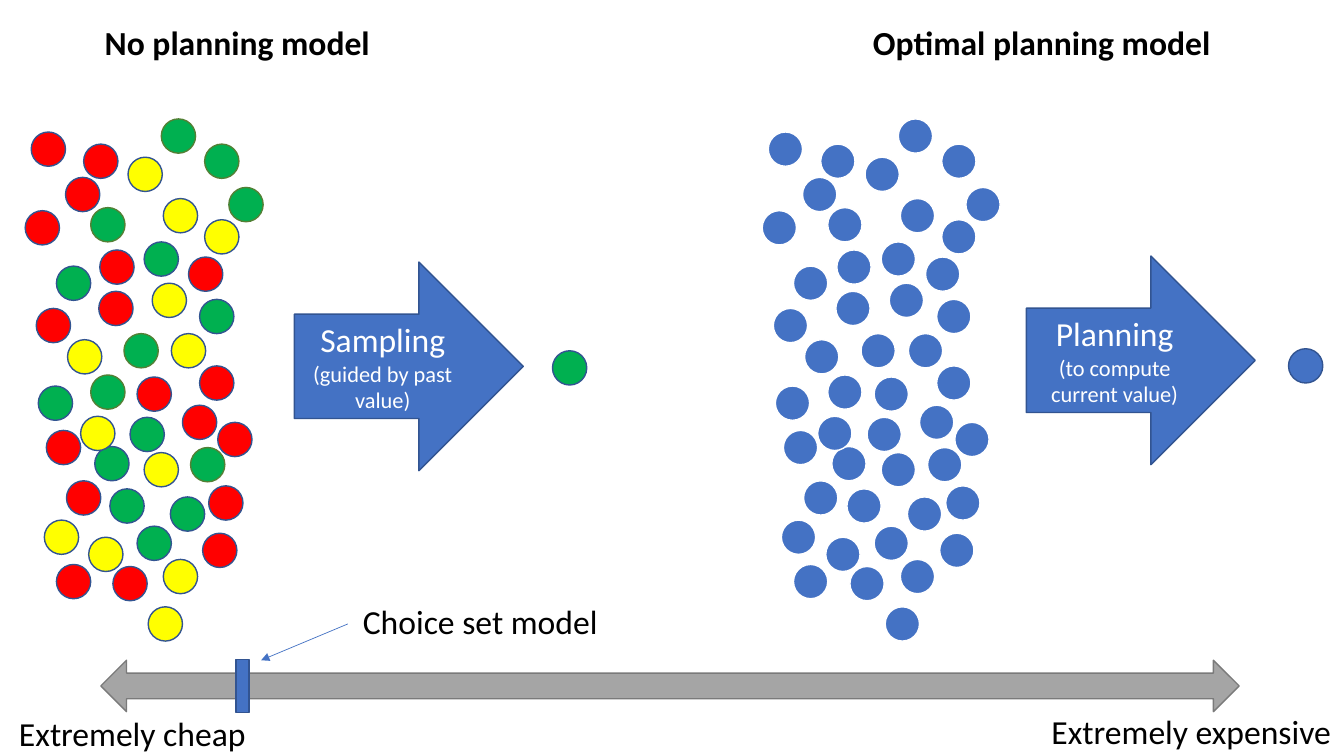
"""Build a slide comparing no planning, choice set and optimal planning models."""
from lxml.etree import SubElement
from pptx import Presentation
from pptx.dml.color import RGBColor
from pptx.enum.shapes import MSO_CONNECTOR, MSO_SHAPE as SHAPE
from pptx.enum.text import MSO_ANCHOR, PP_ALIGN
from pptx.oxml.ns import qn
from pptx.util import Inches, Pt

BLUE, NAVY, WHITE, BLACK = "4472C4", "325491", "FFFFFF", "000000"
RED, GREEN, YELLOW, DARK_GREEN = "FF0000", "00B050", "FFFF00", "538035"
GRAY, DARK_GRAY = "A5A5A5", "7A7A7A"
DOT_SIZE = 0.34
CLOUD_OFFSET = 7.31

DOT_GROUPS = [
    (RED, NAVY, [
        (0.31, 1.31), (0.83, 1.43), (0.65, 1.76), (0.25, 2.09), (0.99, 2.48),
        (1.87, 2.55), (0.98, 2.89), (0.36, 3.06), (1.98, 3.63), (1.36, 3.74),
        (1.81, 4.02), (2.16, 4.19), (0.46, 4.27), (0.66, 4.77), (2.07, 4.82),
        (2.01, 5.29), (0.56, 5.6), (1.12, 5.62)]),
    (GREEN, DARK_GREEN, [
        (1.6, 1.18), (2.03, 1.43), (2.27, 1.86), (0.9, 2.06), (1.23, 3.31),
        (0.9, 3.72), (1.89, 4.44)]),
    (GREEN, NAVY, [
        (1.43, 2.4), (0.56, 2.64), (1.98, 2.97), (0.38, 3.83), (1.29, 4.14),
        (0.94, 4.43), (1.09, 4.85), (1.69, 4.93), (1.36, 5.22)]),
    (YELLOW, NAVY, [
        (1.27, 1.56), (1.62, 1.97), (2.03, 2.18), (1.51, 2.81), (1.7, 3.31),
        (0.67, 3.37), (0.8, 4.13), (1.43, 4.49), (0.44, 5.16), (0.88, 5.33),
        (1.62, 5.55), (1.47, 6.02)]),
]


def color(hex_string):
    return RGBColor.from_string(hex_string)


def add_shape(kind, left, top, width, height, fill, line):
    shape = slide.shapes.add_shape(
        kind, Inches(left), Inches(top), Inches(width), Inches(height))
    shape.shadow.inherit = False
    shape.fill.solid()
    shape.fill.fore_color.rgb = color(fill)
    shape.line.color.rgb = color(line)
    shape.line.width = Pt(1)
    return shape


presentation = Presentation()
presentation.slide_width = Inches(13.33)
presentation.slide_height = Inches(7.5)
slide = presentation.slides.add_slide(presentation.slide_layouts[6])

for fill, outline, positions in DOT_GROUPS:
    for left, top in positions:
        add_shape(SHAPE.OVAL, left, top, DOT_SIZE, DOT_SIZE, fill, outline)
        add_shape(SHAPE.OVAL, left + CLOUD_OFFSET, top, DOT_SIZE, DOT_SIZE, BLUE, WHITE)

for left, top, fill in [(5.48, 3.48, GREEN), (12.78, 3.46, BLUE)]:
    add_shape(SHAPE.OVAL, left, top, DOT_SIZE, DOT_SIZE, fill, NAVY)

for left, top, title, detail in [
    (2.92, 2.6, "Sampling", "(guided by past value)"),
    (10.18, 2.54, "Planning", "(to compute current value)"),
]:
    arrow = add_shape(SHAPE.RIGHT_ARROW, left, top, 2.27, 2.07, BLUE, NAVY)
    text_frame = arrow.text_frame
    text_frame.text = f"{title}\n{detail}"
    text_frame.word_wrap = True
    text_frame.vertical_anchor = MSO_ANCHOR.MIDDLE
    for paragraph, size in zip(text_frame.paragraphs, (24, 16)):
        paragraph.alignment = PP_ALIGN.CENTER
        paragraph.font.name = "Calibri"
        paragraph.font.size = Pt(size)
        paragraph.font.color.rgb = color(WHITE)

add_shape(SHAPE.LEFT_RIGHT_ARROW, 1, 6.55, 11.29, 0.51, GRAY, DARK_GRAY)
add_shape(SHAPE.RECTANGLE, 2.34, 6.54, 0.13, 0.53, BLUE, NAVY)

pointer = slide.shapes.add_connector(
    MSO_CONNECTOR.STRAIGHT, Inches(3.45), Inches(6.19), Inches(2.59), Inches(6.55))
pointer.line.color.rgb = color(BLUE)
pointer.line.width = Pt(0.5)
SubElement(pointer.line._get_or_add_ln(), qn("a:tailEnd"), type="triangle")
SubElement(pointer._element.spPr, qn("a:effectLst"))

for left, top, width, text, bold in [
    (0.94, 0.17, 2.85, "No planning model", True),
    (8.56, 0.17, 3.58, "Optimal planning model", True),
    (0.09, 7.02, 2.47, "Extremely cheap", False),
    (10.33, 7, 3.01, "Extremely expensive", False),
    (3.5, 5.91, 2.55, "Choice set model", False),
]:
    label = slide.shapes.add_textbox(Inches(left), Inches(top), Inches(width), Inches(0.5))
    label.text_frame.text = text
    label.text_frame.word_wrap = False
    font = label.text_frame.paragraphs[0].runs[0].font
    font.name = "Calibri"
    font.size = Pt(24)
    font.bold = bold
    font.color.rgb = color(BLACK)

presentation.save("out.pptx")
